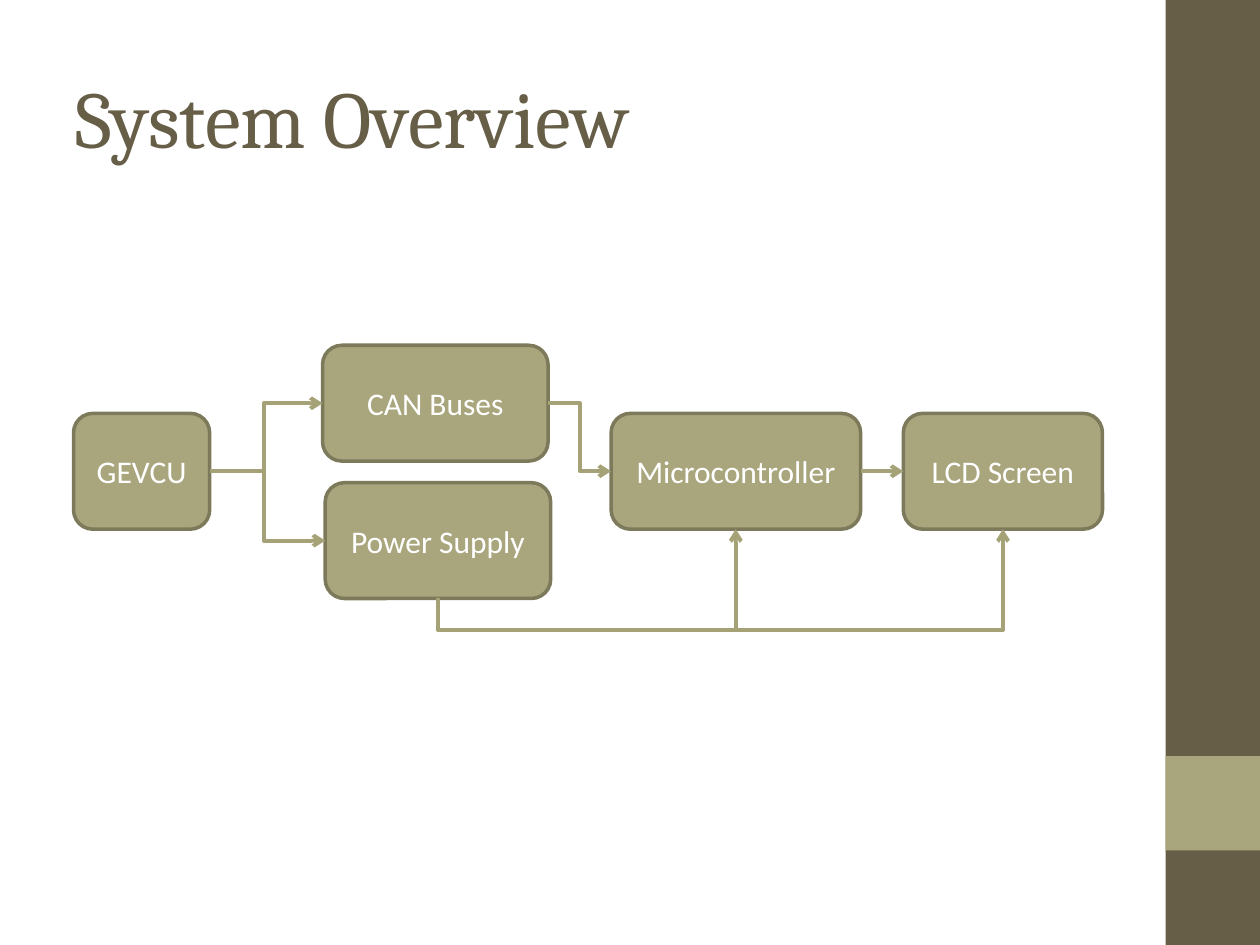
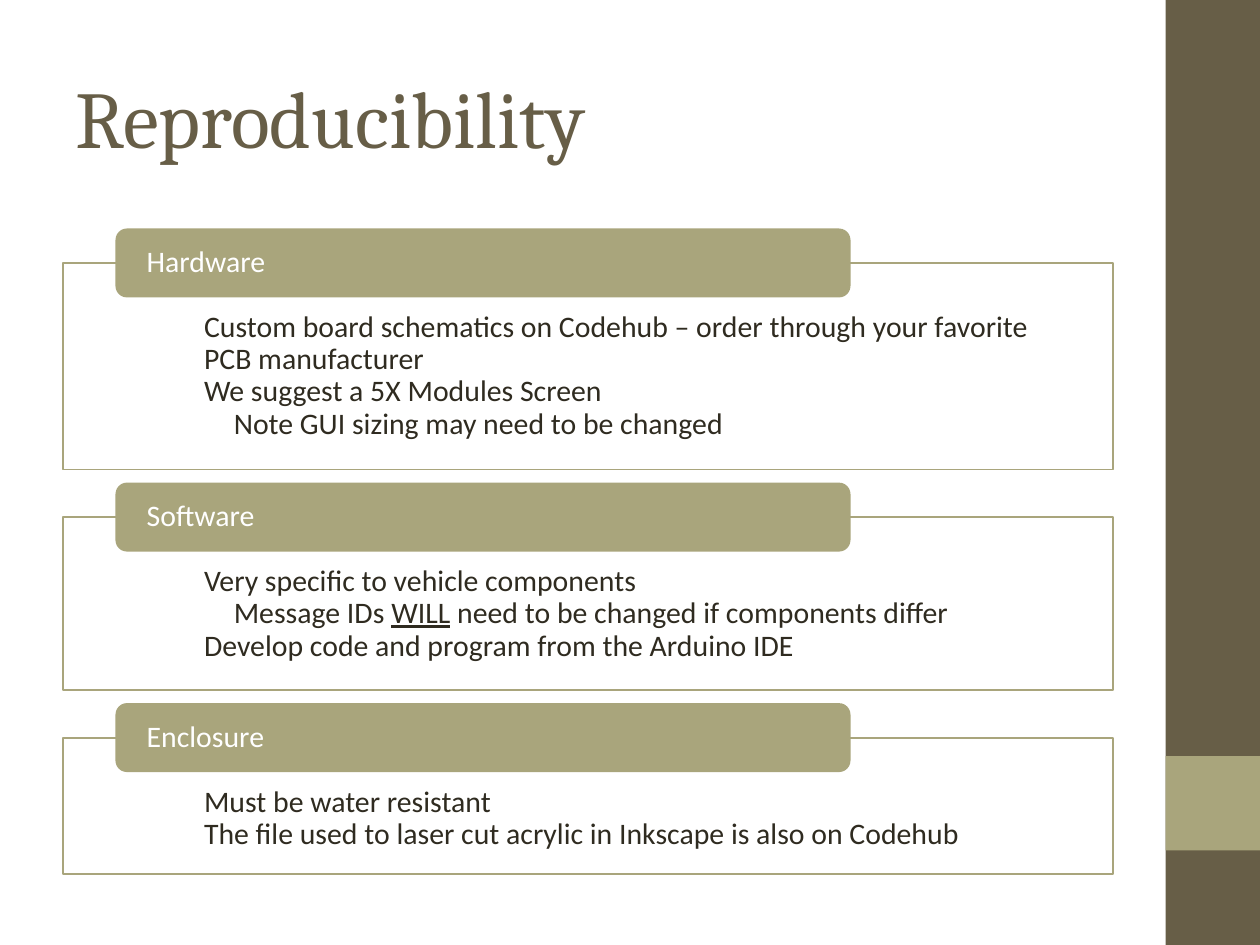
from dataclasses import dataclass
from typing import Optional

from lxml import etree
from pptx import Presentation
from pptx import util as u
from pptx.dml import color as col
from pptx.enum import shapes, text
from pptx.oxml import ns

Pt = u.Pt
KIND = shapes.MSO_SHAPE
LINK = shapes.MSO_CONNECTOR
ANCHOR = text.MSO_ANCHOR
TOP, LEFT, BOTTOM, RIGHT = range(4)

COLORS = {
    "brown": "675E47",
    "olive": "A9A57C",
    "edge": "7D7A5B",
    "wire": "A6A278",
    "ink": "2F2B20",
    "white": "FFFFFF",
}
HEAD, BODY = "Cambria", "Calibri"
SIGNS, CLOCK = "Wingdings", "·"  # this dot is a clock face in the symbol font
INDENT = 17


@dataclass(frozen=True)
class Box:
    left: float
    top: float
    width: float
    height: float


@dataclass(frozen=True)
class Node:
    label: str
    box: Box


@dataclass(frozen=True)
class Elbow:
    """Bent arrow; bend is the run before the first turn, None for halfway."""
    start: str
    out: int
    end: str
    into: int
    bend: Optional[float] = None
    turn: int = 0
    both: bool = False


@dataclass(frozen=True)
class Item:
    level: int
    words: str  # words between underscores are underlined


@dataclass(frozen=True)
class Panel:
    title: str
    height: float
    items: tuple[Item, ...]


ROW, TALL = 236.2, 66.2
NODES = (
    Node("GEVCU", Box(42, ROW, 77.8, TALL)),
    Node("CAN Buses", Box(184.3, 197.3, 128.9, TALL)),
    Node("Power Supply", Box(185.8, 275.8, 128.9, TALL)),
    Node("Microcontroller", Box(349.2, ROW, 142.6, TALL)),
    Node("LCD Screen", Box(516.2, ROW, 113.8, TALL)),
)
FORK = 33.6
ELBOWS = (
    Elbow("CAN Buses", LEFT, "Power Supply", LEFT, -FORK, 180, True),
    Elbow("CAN Buses", RIGHT, "Microcontroller", LEFT),
    Elbow("Power Supply", BOTTOM, "Microcontroller", BOTTOM, -18, 90),
    Elbow("Power Supply", BOTTOM, "LCD Screen", BOTTOM, -18, 90),
)
PANELS = (
    Panel("Hardware", 118.1, (
        Item(1, "Custom board schematics on Codehub – order through your "
                "favorite PCB manufacturer"),
        Item(1, "We suggest a 5X Modules Screen"),
        Item(2, "Note GUI sizing may need to be changed"),
    )),
    Panel("Software", 98.9, (
        Item(1, "Very specific to vehicle components"),
        Item(2, "Message IDs _WILL_ need to be changed if components differ"),
        Item(1, "Develop code and program from the Arduino IDE"),
    )),
    Panel("Enclosure", 77.8, (
        Item(1, "Must be water resistant"),
        Item(1, "The file used to laser cut acrylic in Inkscape is also on Codehub"),
    )),
)


def tint(name: str) -> col.RGBColor:
    return col.RGBColor.from_string(COLORS[name])


def style(part, size: float, color: str, face: str = BODY) -> None:
    """Set the font of every run in a paragraph."""
    for run in part.runs:
        run.font.size, run.font.name = Pt(size), face
        run.font.color.rgb = tint(color)


def inset(frame, across: float, top: float, bottom: float) -> None:
    frame.margin_left = frame.margin_right = Pt(across)
    frame.margin_top, frame.margin_bottom = Pt(top), Pt(bottom)


def block(slide, kind, box: Box, fill: str, edge: str = "", weight: float = 1):
    shape = slide.shapes.add_shape(
        kind, Pt(box.left), Pt(box.top), Pt(box.width), Pt(box.height))
    shape.shadow.inherit = False
    shape.fill.solid()
    shape.fill.fore_color.rgb = tint(fill)
    if edge:
        shape.line.color.rgb = tint(edge)
        shape.line.width = Pt(weight)
    else:
        shape.line.fill.background()
    return shape


def label(shape, words: str, size: float, align):
    frame = shape.text_frame
    frame.word_wrap = True
    frame.vertical_anchor = ANCHOR.MIDDLE
    frame.text = words
    part = frame.paragraphs[0]
    part.alignment = align
    style(part, size, "white")
    return part


def page(deck, title: str):
    """Add a slide with its side band and title."""
    slide = deck.slides.add_slide(deck.slide_layouts[6])
    block(slide, KIND.RECTANGLE, Box(666, 0, 54, 540), "brown")
    block(slide, KIND.RECTANGLE, Box(666, 432, 54, 54), "olive")
    frame = slide.shapes.add_textbox(Pt(36), Pt(21.6), Pt(600), Pt(90)).text_frame
    frame.word_wrap = True
    frame.vertical_anchor = ANCHOR.MIDDLE
    frame.text = title
    style(frame.paragraphs[0], 46, "brown", HEAD)
    return slide


def wire(slide, kind, ends=(0, 0, 0, 0), tips: tuple[str, ...] = ()):
    line = slide.shapes.add_connector(kind, *(Pt(end) for end in ends))
    line.line.color.rgb = tint("wire")
    line.line.width = Pt(2.25)
    for tip in tips:
        etree.SubElement(line.line._get_or_add_ln(), ns.qn(f"a:{tip}"), type="arrow")
    etree.SubElement(line._element.spPr, ns.qn("a:effectLst"))
    return line


def route(slide, elbow: Elbow, nodes: dict) -> None:
    """Join two nodes with a bent arrow, turned to leave the right side."""
    tips = ("headEnd", "tailEnd") if elbow.both else ("tailEnd",)
    line = wire(slide, LINK.ELBOW, tips=tips)
    line.begin_connect(nodes[elbow.start], elbow.out)
    line.end_connect(nodes[elbow.end], elbow.into)
    if elbow.bend is None:
        return
    wide, high = line.width, line.height
    mid_x, mid_y = line.left + wide // 2, line.top + high // 2
    if elbow.turn == 90:
        wide, high = high, wide
    line.left, line.top = mid_x - wide // 2, mid_y - high // 2
    line.width, line.height = wide, high
    props = line._element.spPr
    frame = props.find(ns.qn("a:xfrm"))
    frame.set("rot", str(elbow.turn * 60000))
    frame.set("flipH", "1")
    frame.set("flipV", "1")
    ratio = round(Pt(elbow.bend) / wide * 100000)
    guides = props.find(ns.qn("a:prstGeom")).get_or_add_avLst()
    etree.SubElement(guides, ns.qn("a:gd"), name="adj1", fmla=f"val {ratio}")


def flow(deck) -> None:
    slide = page(deck, "System Overview")
    nodes = {}
    for node in NODES:
        shape = block(slide, KIND.ROUNDED_RECTANGLE, node.box, "olive", "edge", 2)
        label(shape, node.label, 18, text.PP_ALIGN.CENTER)
        nodes[node.label] = shape
    for elbow in ELBOWS:
        route(slide, elbow, nodes)
    first, can = NODES[0].box, NODES[1].box
    mid = ROW + TALL / 2
    stem = wire(slide, LINK.STRAIGHT,
                (first.left + first.width, mid, can.left - FORK, mid))
    stem.begin_connect(nodes["GEVCU"], RIGHT)
    link = wire(slide, LINK.STRAIGHT, tips=("tailEnd",))
    link.begin_connect(nodes["Microcontroller"], RIGHT)
    link.end_connect(nodes["LCD Screen"], LEFT)


def point(part, item: Item) -> None:
    """Fill one bulleted paragraph."""
    props = part._p.get_or_add_pPr()
    props.set("marL", str(Pt(INDENT * (item.level + 1))))
    props.set("indent", str(-Pt(INDENT)))
    etree.SubElement(props, ns.qn("a:buFont"), typeface=SIGNS,
                     pitchFamily="2", charset="2")
    etree.SubElement(props, ns.qn("a:buChar"), char=CLOCK)
    part.level = item.level
    part.alignment = text.PP_ALIGN.LEFT
    part.line_spacing = 0.9
    for index, words in enumerate(item.words.split("_")):
        run = part.add_run()
        run.text = words
        if index % 2:
            run.font.underline = True
    style(part, 17, "ink")


def lists(deck) -> None:
    slide = page(deck, "Reproducibility")
    top, gap, rise = 150.3, 27.1, 19.7
    for panel in PANELS:
        body = block(slide, KIND.RECTANGLE, Box(36, top, 600, panel.height),
                     "white", "olive")
        frame = body.text_frame
        frame.word_wrap = True
        frame.vertical_anchor = ANCHOR.TOP
        inset(frame, 46.6, 28, 9.4)
        for index, item in enumerate(panel.items):
            point(frame.add_paragraph() if index else frame.paragraphs[0], item)
        tab = block(slide, KIND.ROUNDED_RECTANGLE,
                    Box(66, top - rise, 420, 2 * rise), "olive")
        inset(tab.text_frame, 15.9, 2, 2)
        label(tab, panel.title, 17, text.PP_ALIGN.LEFT).line_spacing = 0.9
        top += panel.height + gap


def main() -> None:
    deck = Presentation()
    deck.slide_width, deck.slide_height = Pt(720), Pt(540)
    flow(deck)
    lists(deck)
    deck.save("out.pptx")


if __name__ == "__main__":
    main()
